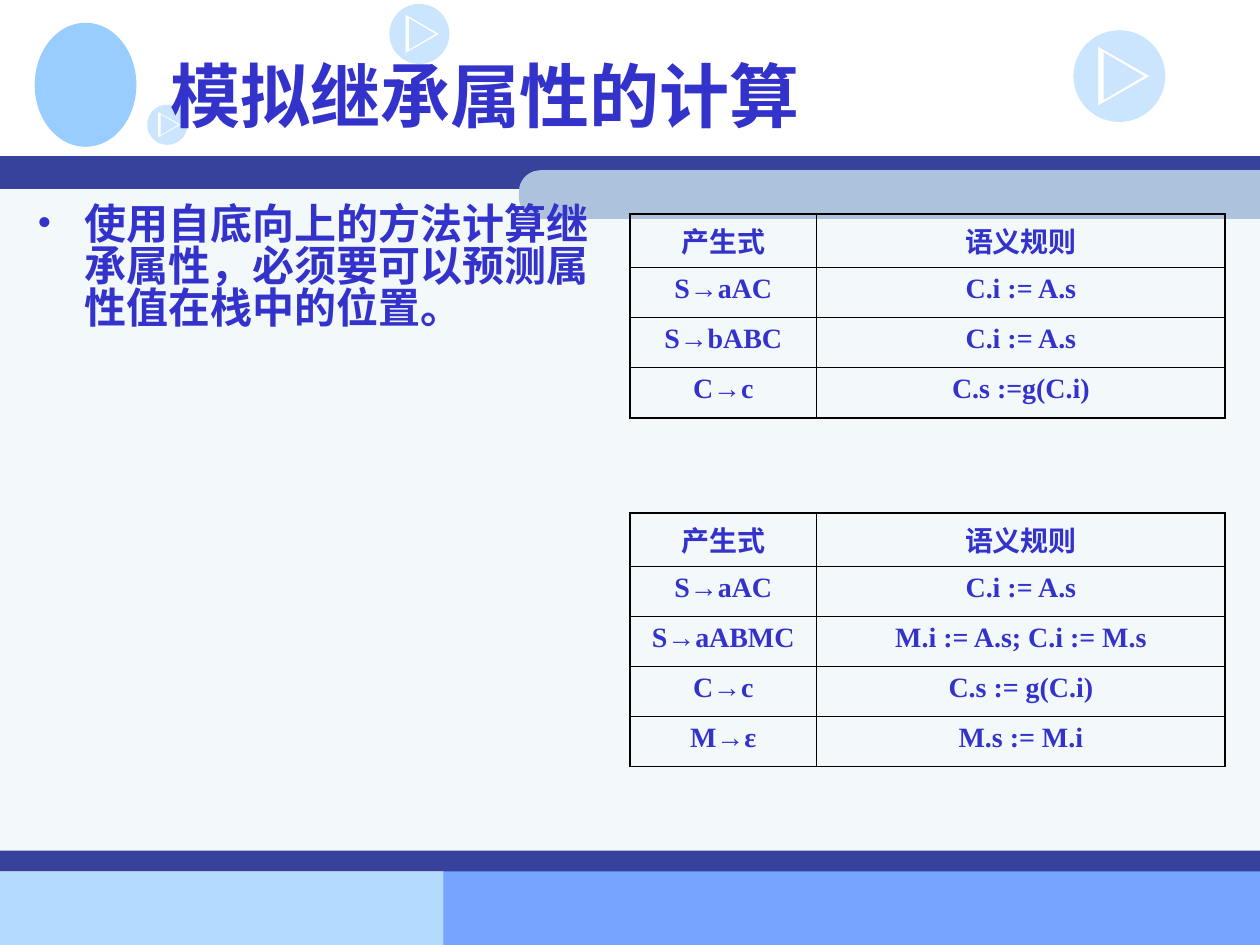
from math import cos, pi, sin

from lxml.etree import SubElement
from pptx import Presentation
from pptx.dml.color import RGBColor
from pptx.enum.shapes import MSO_SHAPE as Preset
from pptx.enum.text import MSO_ANCHOR as Anchor, PP_ALIGN as Align
from pptx.oxml import parse_xml
from pptx.oxml.ns import nsdecls, qn
from pptx.util import Cm, Pt

INK, NAVY, SKY, TAB = "3333CC", "36429B", "99CCFF", "ADC3DD"
LATIN, HAN = "Times New Roman", "Noto Sans CJK SC"
THIN, THICK = 0.45, 1.08

FIRST_RULES = [
    ("产生式", "语义规则"),
    ("S→aAC", "C.i := A.s"),
    ("S→bABC", "C.i := A.s"),
    ("C→c", "C.s :=g(C.i)"),
]
SECOND_RULES = [
    ("产生式", "语义规则"),
    ("S→aAC", "C.i := A.s"),
    ("S→aABMC", "M.i := A.s; C.i := M.s"),
    ("C→c", "C.s := g(C.i)"),
    ("M→ε", "M.s := M.i"),
]


def color(value):
    return RGBColor.from_string(value)


def paint(shape, fill):
    """Give a shape a flat fill without line or shadow."""
    shape.shadow.inherit = False
    shape.fill.solid()
    shape.fill.fore_color.rgb = color(fill)
    shape.line.fill.background()


def add_block(page, preset, left, top, width, height, fill):
    block = page.shapes.add_shape(preset, Cm(left), Cm(top), Cm(width), Cm(height))
    paint(block, fill)
    return block


def add_span(para, text, size, latin=LATIN):
    span = para.add_run()
    span.text = text
    font = span.font
    font.size, font.bold, font.name = Pt(size), True, latin
    font.color.rgb = color(INK)
    SubElement(font._element, qn("a:ea"), typeface=HAN)


def add_play_badge(page, left, top, size):
    """Draw a half-transparent disc with a triangular ring cut out of it."""
    steps = 72
    disc = [(0.5 + cos(2 * pi * n / steps) / 2, 0.5 + sin(2 * pi * n / steps) / 2)
            for n in range(steps)]
    outer = [(0.27, 0.18), (0.83, 0.5), (0.27, 0.82)]
    inner = [(0.33, 0.24), (0.77, 0.5), (0.33, 0.76)]

    def place(points):
        return [(Cm(left + x * size), Cm(top + y * size)) for x, y in points]

    start, *rest = place(disc)
    builder = page.shapes.build_freeform(*start)
    builder.add_line_segments(rest, close=True)
    for triangle in (outer, inner):
        start, *rest = place(triangle)
        builder.move_to(*start)
        builder.add_line_segments(rest, close=True)
    badge = builder.convert_to_shape()
    paint(badge, SKY)
    tint = badge.fill._xPr.find(".//" + qn("a:srgbClr"))
    SubElement(tint, qn("a:alpha"), val="50000")


def add_backdrop(page, width):
    for left, top, span, height, fill in (
        (0, 17.58, 10.8, 1.47, "B5DAFF"),
        (8.94, 17.55, width - 8.94, 1.5, "77A4FF"),
        (0, 3.56, width, 13.99, "F3F8FB"),
        (0, 3.15, width, 0.66, NAVY),
        (0, 17.15, width, 0.42, NAVY),
    ):
        add_block(page, Preset.RECTANGLE, left, top, span, height, fill)

    left, top, height = 10.46, 3.43, 0.98
    length = width - left
    tab = add_block(page, Preset.ROUND_2_SAME_RECTANGLE,
                    left + (length - height) / 2, top - (length - height) / 2,
                    height, length, TAB)
    tab.rotation = 270
    tab.adjustments[0] = 0.45

    add_block(page, Preset.OVAL, 0.7, 0.46, 2.05, 2.5, SKY)
    for spot in ((7.85, 0.08, 1.21), (21.64, 0.61, 1.85), (2.97, 2.11, 0.81)):
        add_play_badge(page, *spot)


def format_title(page, text, left, top, width, height):
    title = page.shapes.title
    page.shapes.element.append(title.element)  # in front of the backdrop
    title.left, title.top = Cm(left), Cm(top)
    title.width, title.height = Cm(width), Cm(height)
    title.text_frame.vertical_anchor = Anchor.MIDDLE
    para = title.text_frame.paragraphs[0]
    para.alignment = Align.LEFT
    add_span(para, text, 40, HAN)


def add_bullet_text(page, text, left, top, width, height):
    box = page.shapes.add_textbox(Cm(left), Cm(top), Cm(width), Cm(height))
    box.text_frame.word_wrap = True
    para = box.text_frame.paragraphs[0]
    para.line_spacing = 0.83
    props = para._p.get_or_add_pPr()
    props.set("marL", str(Cm(0.95)))
    props.set("indent", str(Cm(-0.95)))
    SubElement(SubElement(props, qn("a:buClr")), qn("a:srgbClr"), val=INK)
    SubElement(props, qn("a:buFont"), typeface=LATIN)
    SubElement(props, qn("a:buChar"), char="•")
    add_span(para, text, 24)


def set_borders(cell, **widths):
    """Draw black cell borders; keys are L, R, T and B in that order."""
    props = cell._tc.get_or_add_tcPr()
    for place, (side, width) in enumerate(widths.items()):
        props.insert(place, parse_xml(
            f'<a:ln{side} {nsdecls("a")} w="{Pt(width)}"><a:solidFill>'
            f'<a:srgbClr val="000000"/></a:solidFill></a:ln{side}>'))


def add_rule_table(page, rules, left, top, columns, header, row):
    """Add a table of productions and their semantic rules."""
    last_row, last_col = len(rules) - 1, len(columns) - 1
    frame = page.shapes.add_table(len(rules), len(columns), Cm(left), Cm(top),
                                  Cm(sum(columns)), Cm(header + row * last_row))
    table = frame.table
    table.first_row = table.horz_banding = False
    for column, width in zip(table.columns, columns):
        column.width = Cm(width)
    for r, texts in enumerate(rules):
        table.rows[r].height = Cm(row if r else header)
        for c, text in enumerate(texts):
            cell = table.cell(r, c)
            cell.fill.background()
            set_borders(cell,
                        L=THIN if c else THICK,
                        R=THICK if c == last_col else THIN,
                        T=THIN if r else THICK,
                        B=THICK if r == last_row else THIN)
            para = cell.text_frame.paragraphs[0]
            para.alignment = Align.CENTER
            add_span(para, text, 16)


def main():
    deck = Presentation()
    deck.slide_width, deck.slide_height = Cm(25.4), Cm(19.05)
    page = deck.slides.add_slide(deck.slide_layouts[5])
    add_backdrop(page, 25.4)
    format_title(page, "模拟继承属性的计算", 3.18, 0.43, 21.59, 2.97)
    add_bullet_text(page, "使用自底向上的方法计算继承属性，必须要可以预测属性值在栈中的位置。",
                    0.5, 4.03, 12, 12.5)
    for rules, top in ((FIRST_RULES, 4.32), (SECOND_RULES, 10.34)):
        add_rule_table(page, rules, 12.7, top, (3.76, 8.24), 1.07, 1.01)
    deck.save("out.pptx")


if __name__ == "__main__":
    main()
